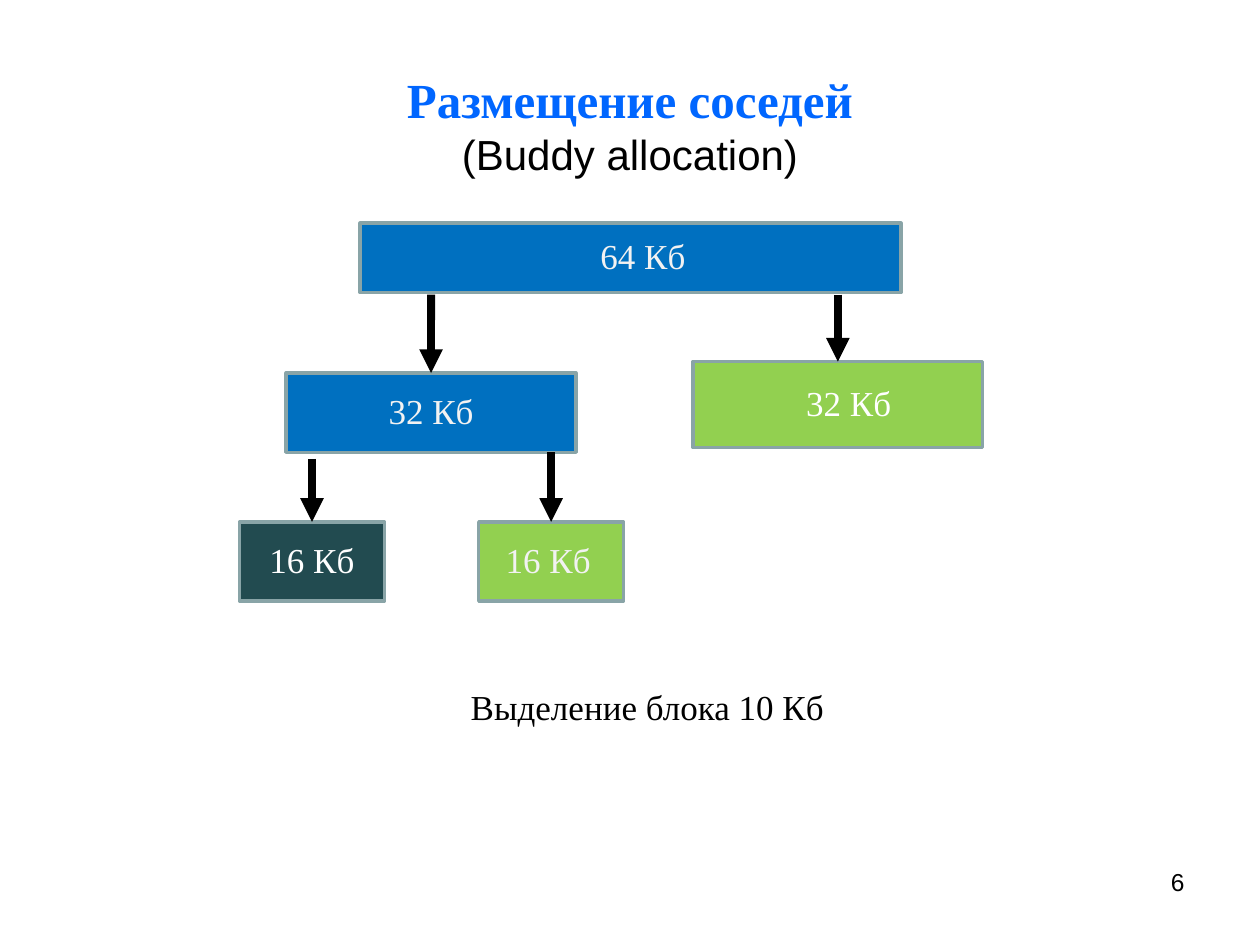
from dataclasses import dataclass

from lxml.etree import SubElement
from pptx import Presentation
from pptx.dml.color import RGBColor
from pptx.enum.shapes import MSO_CONNECTOR as Connector, MSO_SHAPE as Preset
from pptx.enum.text import MSO_ANCHOR as Anchor, PP_ALIGN as Align
from pptx.oxml.ns import qn
from pptx.shapes.autoshape import Shape
from pptx.slide import Slide
from pptx.text.text import TextFrame
from pptx.util import Cm, Pt


@dataclass(frozen=True)
class Theme:
    serif: str = "Times New Roman"
    sans: str = "Arial"
    black: str = "000000"
    white: str = "FFFFFF"
    pale: str = "F2F2F2"
    heading: str = "0066FF"
    split: str = "0070C0"
    free: str = "92D050"
    allocated: str = "224B50"
    border: str = "89A4A7"
    heading_size: int = 28
    subheading_size: int = 24
    body_size: int = 20
    number_size: int = 14
    border_width: float = 2
    arrow_width: float = 4.5


THEME = Theme()


@dataclass(frozen=True)
class Block:
    """A memory block; lengths in cm, shift moves its label sideways."""
    label: str
    left: float
    top: float
    width: float
    height: float
    fill: str
    ink: str
    shift: float = 0
    arrow_from: float | None = None  # height where its arrow starts

    @property
    def middle(self) -> float:
        return self.left + self.width / 2


BLOCKS = [
    Block("64 Кб", 7.26, 4.5, 10.9, 1.4, THEME.split, THEME.pale, shift=0.25),
    Block("32 Кб", 13.97, 7.29, 5.84, 1.73, THEME.free, THEME.white, shift=0.22, arrow_from=5.94),
    Block("32 Кб", 5.77, 7.52, 5.84, 1.6, THEME.split, THEME.pale, arrow_from=5.94),
    Block("16 Кб", 4.83, 10.52, 2.92, 1.6, THEME.allocated, THEME.white, arrow_from=9.25),
    Block("16 Кб", 9.65, 10.52, 2.92, 1.6, THEME.free, THEME.pale, shift=-0.06, arrow_from=9.12),
]


def write(frame: TextFrame, text: str, *, font: str = THEME.serif,
          size: float = THEME.body_size, color: str = THEME.black,
          bold: bool = False, align: Align = Align.CENTER) -> None:
    """Fill the first paragraph, or add one when it is taken."""
    paragraph = frame.paragraphs[0] if not frame.text else frame.add_paragraph()
    paragraph.alignment = align
    run = paragraph.add_run()
    run.text = text
    run.font.name = font
    run.font.size = Pt(size)
    run.font.bold = bold
    run.font.color.rgb = RGBColor.from_string(color)


def add_frame(slide: Slide, left: float, top: float, width: float, height: float,
              anchor: Anchor = Anchor.MIDDLE) -> TextFrame:
    frame = slide.shapes.add_textbox(Cm(left), Cm(top), Cm(width), Cm(height)).text_frame
    frame.word_wrap = True
    frame.vertical_anchor = anchor
    return frame


def add_block(slide: Slide, block: Block) -> Shape:
    box = slide.shapes.add_shape(Preset.RECTANGLE, Cm(block.left), Cm(block.top),
                                 Cm(block.width), Cm(block.height))
    box.shadow.inherit = False
    box.fill.solid()
    box.fill.fore_color.rgb = RGBColor.from_string(block.fill)
    box.line.color.rgb = RGBColor.from_string(THEME.border)
    box.line.width = Pt(THEME.border_width)
    frame = box.text_frame
    frame.vertical_anchor = Anchor.MIDDLE
    # Uneven side margins move the label by the wanted shift
    frame.margin_left = Cm(0.25 + max(0, 2 * block.shift))
    frame.margin_right = Cm(0.25 + max(0, -2 * block.shift))
    frame.margin_top, frame.margin_bottom = Cm(0), Cm(0.08)
    write(frame, block.label, color=block.ink)
    return box


def add_arrow(slide: Slide, block: Block, box: Shape) -> None:
    x = Cm(block.middle)
    arrow = slide.shapes.add_connector(Connector.STRAIGHT, x, Cm(block.arrow_from),
                                       x, Cm(block.top))
    arrow.end_connect(box, 0)
    arrow.line.color.rgb = RGBColor.from_string(THEME.black)
    arrow.line.width = Pt(THEME.arrow_width)
    SubElement(arrow.line._get_or_add_ln(), qn("a:tailEnd"), type="triangle")
    SubElement(arrow._element.spPr, qn("a:effectLst"))


def main() -> None:
    deck = Presentation()
    deck.slide_width, deck.slide_height = Cm(25.4), Cm(19.05)
    slide = deck.slides.add_slide(deck.slide_layouts[6])

    # Heading
    heading = add_frame(slide, 1.27, 1.45, 22.86, 2.11)
    write(heading, "Размещение соседей", size=THEME.heading_size,
          color=THEME.heading, bold=True)
    write(heading, "(Buddy allocation)", font=THEME.sans, size=THEME.subheading_size)

    # Tree of blocks, then the arrows into them
    boxes = [add_block(slide, block) for block in BLOCKS]
    for block, box in zip(BLOCKS, boxes):
        if block.arrow_from is not None:
            add_arrow(slide, block, box)

    # Caption and slide number
    caption = add_frame(slide, 1.27, 13.65, 23.56, 1.2)
    write(caption, "Выделение блока 10 Кб")
    number = add_frame(slide, 18.21, 17.35, 5.92, 1.32, anchor=Anchor.TOP)
    write(number, "6", font=THEME.sans, size=THEME.number_size, align=Align.RIGHT)

    deck.save("out.pptx")


if __name__ == "__main__":
    main()
